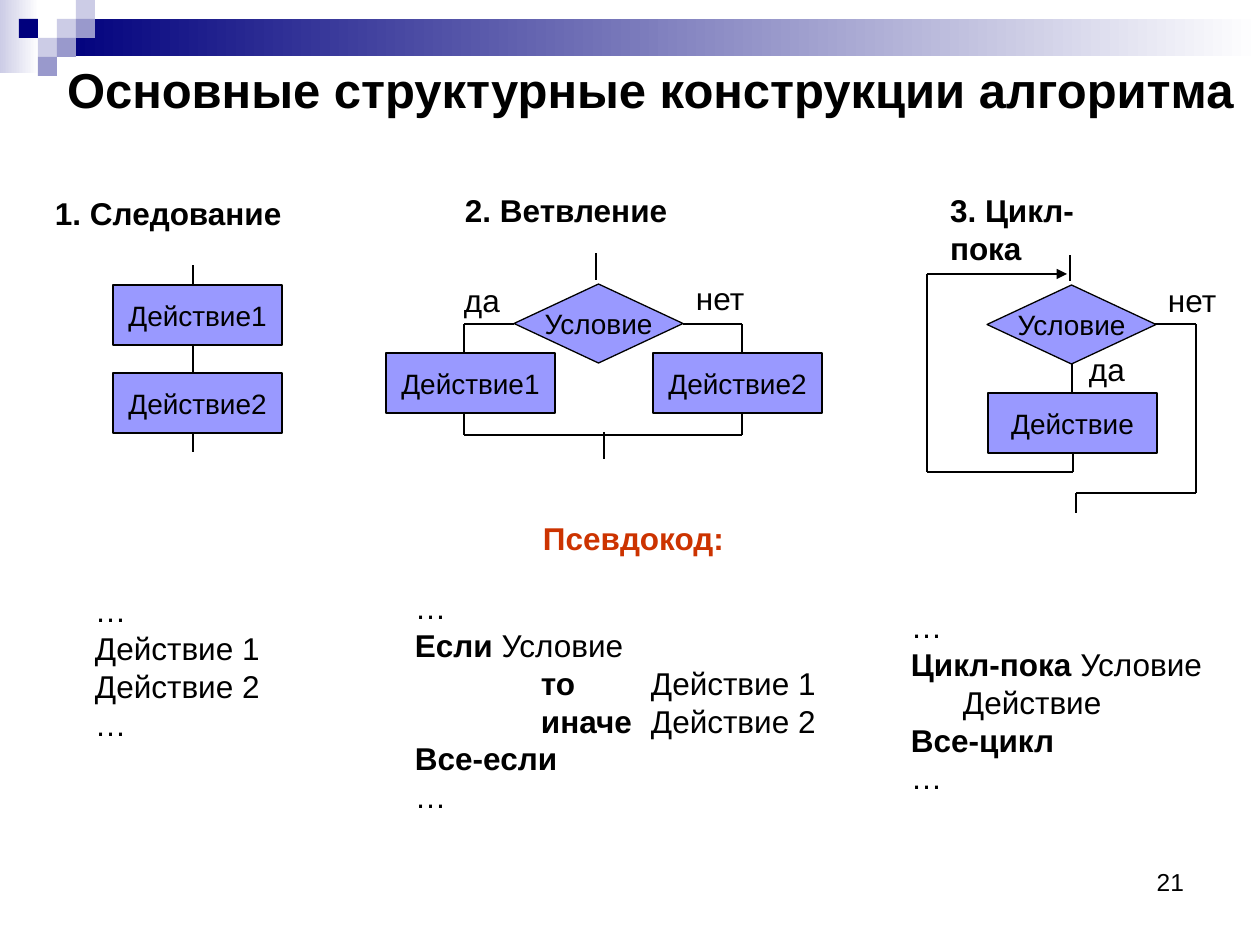
"""Build a slide on the basic control structures of an algorithm."""
import itertools

import pptx
import pptx.dml.color
import pptx.enum.shapes
import pptx.enum.text
import pptx.oxml
import pptx.oxml.ns
import pptx.util

RGB = pptx.dml.color.RGBColor
BLACK = RGB(0x00, 0x00, 0x00)
WHITE = RGB(0xFF, 0xFF, 0xFF)
NAVY = RGB(0x00, 0x00, 0x7D)
PALE = RGB(0xCC, 0xCC, 0xE6)
MID = RGB(0x99, 0x99, 0xCC)
LILAC = RGB(0x99, 0x99, 0xFF)
RED = RGB(0xCC, 0x33, 0x00)

KIND = pptx.enum.shapes.MSO_SHAPE
ALIGN = pptx.enum.text.PP_ALIGN
ANCHOR = pptx.enum.text.MSO_ANCHOR
SCALE = 914400 / 126
INSET = 13


def px(num):
    return pptx.util.Emu(round(num * SCALE))


def put(obj, vals):
    for key, val in vals.items():
        setattr(obj, key, val)


def node(parent, tag, **vals):
    item = pptx.oxml.parse_xml(f"<a:{tag} {pptx.oxml.ns.nsdecls('a')}/>")
    for key, val in vals.items():
        item.set(key, str(val))
    parent.append(item)
    return item


def write(frame, lines, size, align=ALIGN.LEFT, color=BLACK, stops=()):
    """Fill a frame with lines, where asterisks enclose bold words."""
    for num, line in enumerate(lines):
        para = frame.paragraphs[0] if num == 0 else frame.add_paragraph()
        put(para, {"alignment": align, "line_spacing": pptx.util.Pt(size * 1.2)})
        if stops:
            tabs = node(para._p.get_or_add_pPr(), "tabLst")
            for stop in stops:
                node(tabs, "tab", pos=px(stop), algn="l")
        for turn, part in enumerate(line.split("*")):
            if part:
                run = para.add_run()
                run.text = part
                put(run.font, {"name": "Arial", "size": pptx.util.Pt(size),
                               "bold": turn % 2 == 1})
                run.font.color.rgb = color


def text(slide, box, lines, size=18, anchor=ANCHOR.TOP, edge=0, **look):
    frame = slide.shapes.add_textbox(*map(px, box)).text_frame
    put(frame, {"word_wrap": True, "vertical_anchor": anchor,
                "margin_left": px(INSET), "margin_right": px(edge)})
    write(frame, lines, size, **look)


def shape(slide, kind, box):
    item = slide.shapes.add_shape(kind, *map(px, box))
    item.shadow.inherit = False
    return item


def block(slide, kind, left, top, label):
    high = 79 if kind == KIND.DIAMOND else 60
    item = shape(slide, kind, (left, top, 169, high))
    item.fill.solid()
    item.fill.fore_color.rgb = LILAC
    item.line.color.rgb = BLACK
    item.line.width = pptx.util.Pt(0.75)
    put(item.text_frame, {"word_wrap": False, "vertical_anchor": ANCHOR.MIDDLE})
    write(item.text_frame, [label], 16, align=ALIGN.CENTER)


def wire(slide, *dots, arrow=False):
    """Join neighbouring dots by straight lines."""
    for start, end in itertools.pairwise(dots):
        line = slide.shapes.add_connector(
            pptx.enum.shapes.MSO_CONNECTOR.STRAIGHT, *map(px, start + end))
        line.line.color.rgb = BLACK
        line.line.width = pptx.util.Pt(0.75)
        node(line._element.spPr, "effectLst")
    if arrow:
        node(line.line._get_or_add_ln(), "tailEnd", type="triangle")


def fade(slide, box, color):
    item = shape(slide, KIND.RECTANGLE, box)
    item.line.fill.background()
    item.fill.gradient()
    item.fill.gradient_angle = 0
    for stop, tone in zip(item.fill.gradient_stops, (color, WHITE)):
        stop.color.rgb = tone


def banner(slide):
    fade(slide, (0, 0, 39, 73), PALE)
    fade(slide, (57, 19, 1203, 37), NAVY)
    tiles = ((3, 1, PALE), (4, 0, PALE), (4, 1, MID), (2, 2, PALE),
             (1, 1, NAVY), (3, 2, MID), (2, 3, MID))
    for col, row, color in tiles:
        tile = shape(slide, KIND.RECTANGLE, (19 * col, 19 * row, 19, 19))
        tile.fill.solid()
        tile.fill.fore_color.rgb = color
        tile.line.fill.background()


def chain(slide):
    text(slide, (42, 188, 252, 50), ["*1. Следование*"])
    for num, top in enumerate((285, 373), 1):
        block(slide, KIND.RECTANGLE, 113, top, f"Действие{num}")
    for low, high in ((284, 265), (373, 344), (452, 433)):
        wire(slide, (193, low), (193, high))


def branch(slide):
    text(slide, (452, 185, 228, 50), ["*2. Ветвление*"])
    block(slide, KIND.DIAMOND, 514, 284, "Условие")
    text(slide, (451, 275, 62, 50), ["да"])
    text(slide, (683, 273, 74, 50), ["нет"])
    for num, left in enumerate((386, 653), 1):
        block(slide, KIND.RECTANGLE, left, 353, f"Действие{num}")
    wire(slide, (596, 280), (596, 253))
    wire(slide, (514, 324), (464, 324), (464, 352))
    wire(slide, (683, 324), (742, 324), (742, 353))
    wire(slide, (464, 412), (464, 435), (742, 435), (742, 412))
    wire(slide, (604, 459), (604, 432))


def loop(slide):
    text(slide, (937, 185, 220, 50), ["*3. Цикл-пока*"], edge=20)
    block(slide, KIND.DIAMOND, 987, 285, "Условие")
    text(slide, (1076, 344, 60, 50), ["да"])
    text(slide, (1155, 275, 74, 50), ["нет"])
    block(slide, KIND.RECTANGLE, 988, 393, "Действие")
    wire(slide, (1070, 281), (1070, 255))
    wire(slide, (1072, 363), (1072, 392))
    wire(slide, (1073, 452), (1073, 472), (927, 472), (927, 274), (1067, 274),
         arrow=True)
    wire(slide, (1155, 324), (1196, 324), (1196, 493), (1076, 493), (1076, 513))


def pseudo(slide):
    text(slide, (530, 513, 207, 50), ["*Псевдокод:*"], color=RED)
    text(slide, (82, 585, 190, 164),
         ["…", "Действие 1", "Действие 2", "…"])
    text(slide, (402, 582, 430, 239),
         ["…", "*Если* Условие", "\t*то*\tДействие 1",
          "\t*иначе*\tДействие 2", "*Все-если*", "…"], stops=(126, 236))
    text(slide, (898, 601, 318, 202),
         ["…", "*Цикл-пока* Условие", "\tДействие", "*Все-цикл*", "…"],
         stops=(52,))


def main():
    deck = pptx.Presentation()
    put(deck, {"slide_width": px(1260), "slide_height": px(945)})
    slide = deck.slides.add_slide(deck.slide_layouts[6])
    banner(slide)
    text(slide, (54, 63, 1206, 52), ["*Основные структурные конструкции алгоритма*"],
         size=28, anchor=ANCHOR.MIDDLE)
    for draw in (chain, branch, loop, pseudo):
        draw(slide)
    text(slide, (903, 861, 294, 66), ["21"], size=14, edge=INSET, align=ALIGN.RIGHT)
    deck.save("out.pptx")


if __name__ == "__main__":
    main()
